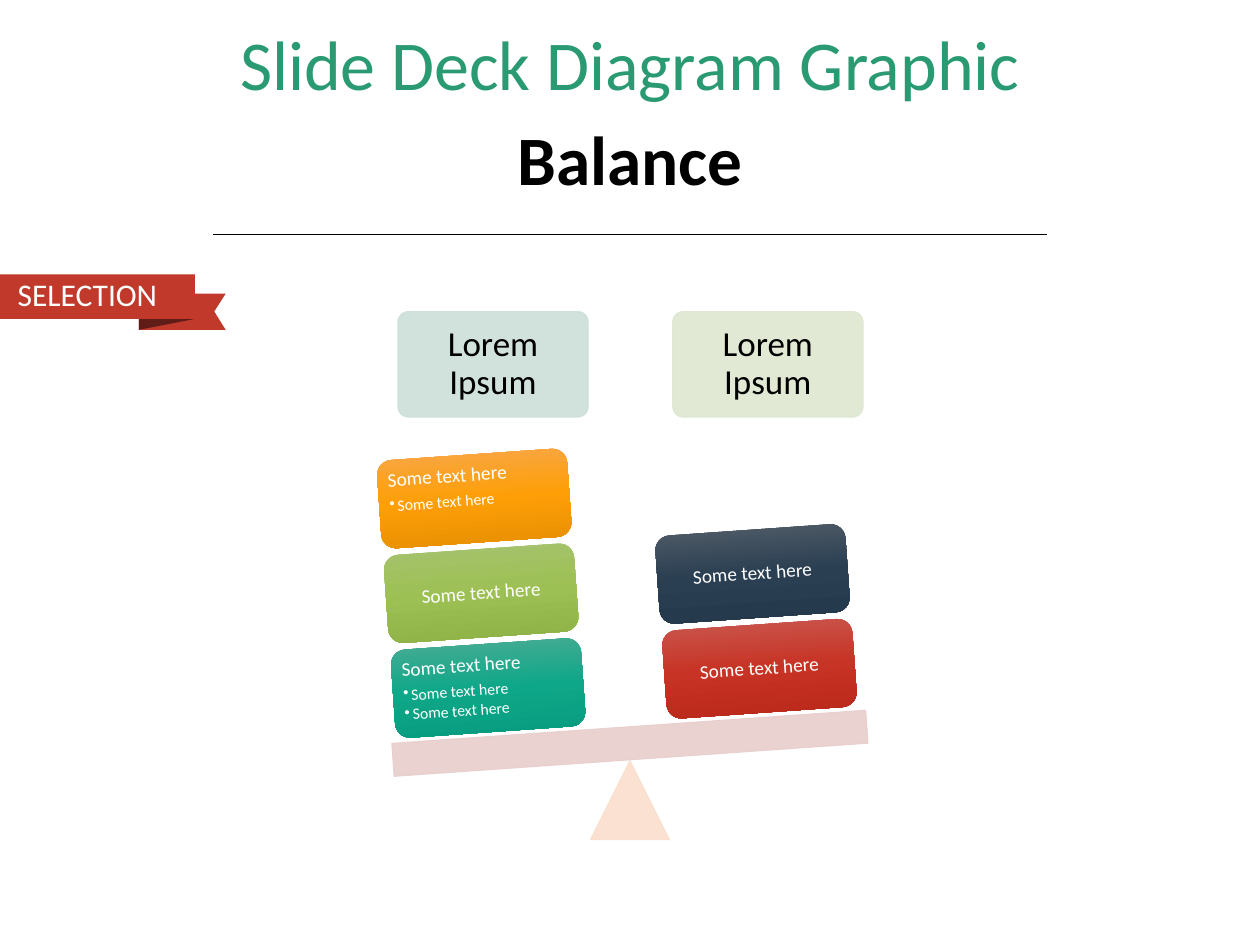
from lxml.etree import SubElement
from copy import deepcopy
from pptx import Presentation
from pptx.dml.color import RGBColor
from pptx.enum.shapes import MSO_CONNECTOR, MSO_SHAPE
from pptx.enum.text import MSO_ANCHOR, MSO_AUTO_SIZE, PP_ALIGN
from pptx.oxml.ns import qn
from pptx.util import Cm, Pt

FONT = "Calibri"
BLACK = RGBColor(0x00, 0x00, 0x00)
WHITE = RGBColor(0xFF, 0xFF, 0xFF)
HEADING = RGBColor(0x2A, 0x9A, 0x72)
RIBBON = RGBColor(0xC0, 0x39, 0x2B)
FOLD = RGBColor(0x60, 0x1C, 0x16)
MINT = RGBColor(0xCC, 0xDF, 0xD9)
SAGE = RGBColor(0xDE, 0xE7, 0xD1)
PEACH = RGBColor(0xFA, 0xDE, 0xCC)
ROSE = RGBColor(0xE8, 0xCE, 0xCD)
TEAL = (RGBColor(0x4D, 0xAC, 0x94), RGBColor(0x0F, 0xA7, 0x89), RGBColor(0x07, 0x9A, 0x7E))
GREEN = (RGBColor(0xA6, 0xC3, 0x6F), RGBColor(0x9D, 0xC0, 0x54), RGBColor(0x8D, 0xB0, 0x45))
ORANGE = (RGBColor(0xF7, 0xA7, 0x4C), RGBColor(0xFE, 0x9F, 0x07), RGBColor(0xE5, 0x8E, 0x03))
RED = (RGBColor(0xCA, 0x59, 0x52), RGBColor(0xC7, 0x33, 0x24), RGBColor(0xB8, 0x28, 0x19))
NAVY = (RGBColor(0x54, 0x5E, 0x69), RGBColor(0x2A, 0x3F, 0x52), RGBColor(0x24, 0x38, 0x4A))
TILT = 356
TEXT = "Some text here"


def set_frame(tf, anchor, insets):
    """Set wrapping, anchor and the left, top, right and bottom insets."""
    tf.word_wrap = True
    tf.auto_size = MSO_AUTO_SIZE.NONE
    tf.vertical_anchor = anchor
    tf.margin_left, tf.margin_top, tf.margin_right, tf.margin_bottom = map(Cm, insets)


def add_run(p, text, size, color, bold=False, align=PP_ALIGN.CENTER):
    """Add one formatted run to a paragraph."""
    p.alignment = align
    p.line_spacing = 0.9
    r = p.add_run()
    r.text = text
    r.font.name = FONT
    r.font.size = Pt(size)
    r.font.bold = bold
    r.font.color.rgb = color


def add_bullet(tf, text):
    """Add a small bulleted paragraph."""
    p = tf.add_paragraph()
    p.level = 1
    p.space_after = Pt(1.35)
    pPr = p._p.get_or_add_pPr()
    pPr.set("marL", str(Cm(0.16)))
    pPr.set("indent", str(-Cm(0.16)))
    SubElement(pPr, qn("a:buChar"), char="•")
    add_run(p, text, 9, WHITE, align=PP_ALIGN.LEFT)


def add_title(shape, top, text, size, color, bold=False):
    """Place and fill a full-width title line."""
    shape.left, shape.top, shape.width, shape.height = Cm(1.75), Cm(top), Cm(21.9), Cm(1.9)
    set_frame(shape.text_frame, MSO_ANCHOR.MIDDLE, (0.25, 0.13, 0.25, 0.13))
    add_run(shape.text_frame.paragraphs[0], text, size, color, bold)


def add_rule(s, left, right, top):
    """Add the thin horizontal rule."""
    line = s.shapes.add_connector(MSO_CONNECTOR.STRAIGHT, Cm(left), Cm(top), Cm(right), Cm(top))
    line.line.color.rgb = BLACK
    line.line.width = Pt(0.5)
    SubElement(line._element.spPr, qn("a:effectLst"))


def add_plain(s, kind, box, color):
    """Add a flat shape without outline."""
    sp = s.shapes.add_shape(kind, *map(Cm, box))
    sp.shadow.inherit = False
    sp.fill.solid()
    sp.fill.fore_color.rgb = color
    sp.line.fill.background()
    return sp


def add_outline(s, points, color):
    """Add a flat polygon through points given in centimetres."""
    first, *rest = [(Cm(x), Cm(y)) for x, y in points]
    builder = s.shapes.build_freeform(*first)
    builder.add_line_segments(rest, close=True)
    sp = builder.convert_to_shape()
    sp.shadow.inherit = False
    sp.fill.solid()
    sp.fill.fore_color.rgb = color
    sp.line.fill.background()


def add_ribbon(s):
    """Add the folded ribbon with its label."""
    add_outline(s, [(2.8, 6.65), (4.55, 6.65), (4.32, 6.28), (4.55, 5.92), (2.8, 5.92)], RIBBON)
    add_outline(s, [(3.93, 6.43), (2.8, 6.65), (2.8, 6.43)], FOLD)
    sp = add_plain(s, MSO_SHAPE.RECTANGLE, (0, 5.53, 3.93, 0.9), RIBBON)
    set_frame(sp.text_frame, MSO_ANCHOR.MIDDLE, (0.25, 0, 0.76, 0))
    add_run(sp.text_frame.paragraphs[0], "SELECTION", 18, WHITE, align=PP_ALIGN.RIGHT)


def add_pale(s, kind, box, color):
    """Add a slightly transparent shape with a matching outline."""
    sp = add_plain(s, kind, box, color)
    sp.line.color.rgb = color
    sp.line.width = Pt(0.5)
    for clr in sp._element.spPr.iter(qn("a:srgbClr")):
        SubElement(clr, qn("a:alpha"), val="90000")
    return sp


def add_label(s, left, color):
    """Add a rounded heading above one side of the balance."""
    sp = add_pale(s, MSO_SHAPE.ROUNDED_RECTANGLE, (left, 6.28, 3.84, 2.13), color)
    sp.adjustments[0] = 0.1
    set_frame(sp.text_frame, MSO_ANCHOR.MIDDLE, (0.2, 0.2, 0.2, 0.2))
    add_run(sp.text_frame.paragraphs[0], "Lorem Ipsum", 20, BLACK)


def add_card(s, left, top, colors, bullets):
    """Add a tilted gradient card with optional bullets."""
    sp = add_plain(s, MSO_SHAPE.ROUNDED_RECTANGLE, (left, top, 3.84, 1.78), colors[1])
    sp.rotation = TILT
    sp.fill.gradient()
    sp.fill.gradient_angle = 270
    stops = sp._element.spPr.find(".//" + qn("a:gsLst"))
    stops.insert(1, deepcopy(stops[0]))
    for stop, position, color in zip(sp.fill.gradient_stops, (0, 0.5, 1), colors):
        stop.position = position
        stop.color.rgb = color
    tf = sp.text_frame
    set_frame(tf, MSO_ANCHOR.TOP if bullets else MSO_ANCHOR.MIDDLE, (0.12, 0.12, 0.12, 0.12))
    p = tf.paragraphs[0]
    p.space_after = Pt(3.85)
    add_run(p, TEXT, 11, WHITE, align=PP_ALIGN.LEFT if bullets else PP_ALIGN.CENTER)
    for _ in range(bullets):
        add_bullet(tf, TEXT)


def add_stack(s, left, top, cards):
    """Pile cards from the beam upwards along its tilt."""
    for i, (colors, bullets) in enumerate(cards):
        add_card(s, left - 0.14 * i, top - 1.91 * i, colors, bullets)


def main():
    """Build the balance slide."""
    prs = Presentation()
    prs.slide_width, prs.slide_height = Cm(25.4), Cm(19.05)
    s = prs.slides.add_slide(prs.slide_layouts[5])
    heading = s.shapes.add_textbox(0, 0, 0, 0)
    add_title(heading, 0.41, "Slide Deck Diagram Graphic", 40, HEADING)
    add_title(s.shapes.title, 2.34, "Balance", 39.6, BLACK, True)
    add_rule(s, 4.29, 21.11, 4.72)
    add_ribbon(s)
    add_label(s, 8.02, MINT)
    add_label(s, 13.56, SAGE)
    add_pale(s, MSO_SHAPE.ISOSCELES_TRIANGLE, (11.9, 15.33, 1.6, 1.6), PEACH)
    beam = add_pale(s, MSO_SHAPE.RECTANGLE, (7.91, 14.65, 9.58, 0.67), ROSE)
    beam.rotation = TILT
    add_stack(s, 7.92, 12.98, [(TEAL, 2), (GREEN, 0), (ORANGE, 1)])
    add_stack(s, 13.39, 12.59, [(RED, 0), (NAVY, 0)])
    prs.save("out.pptx")


if __name__ == "__main__":
    main()
